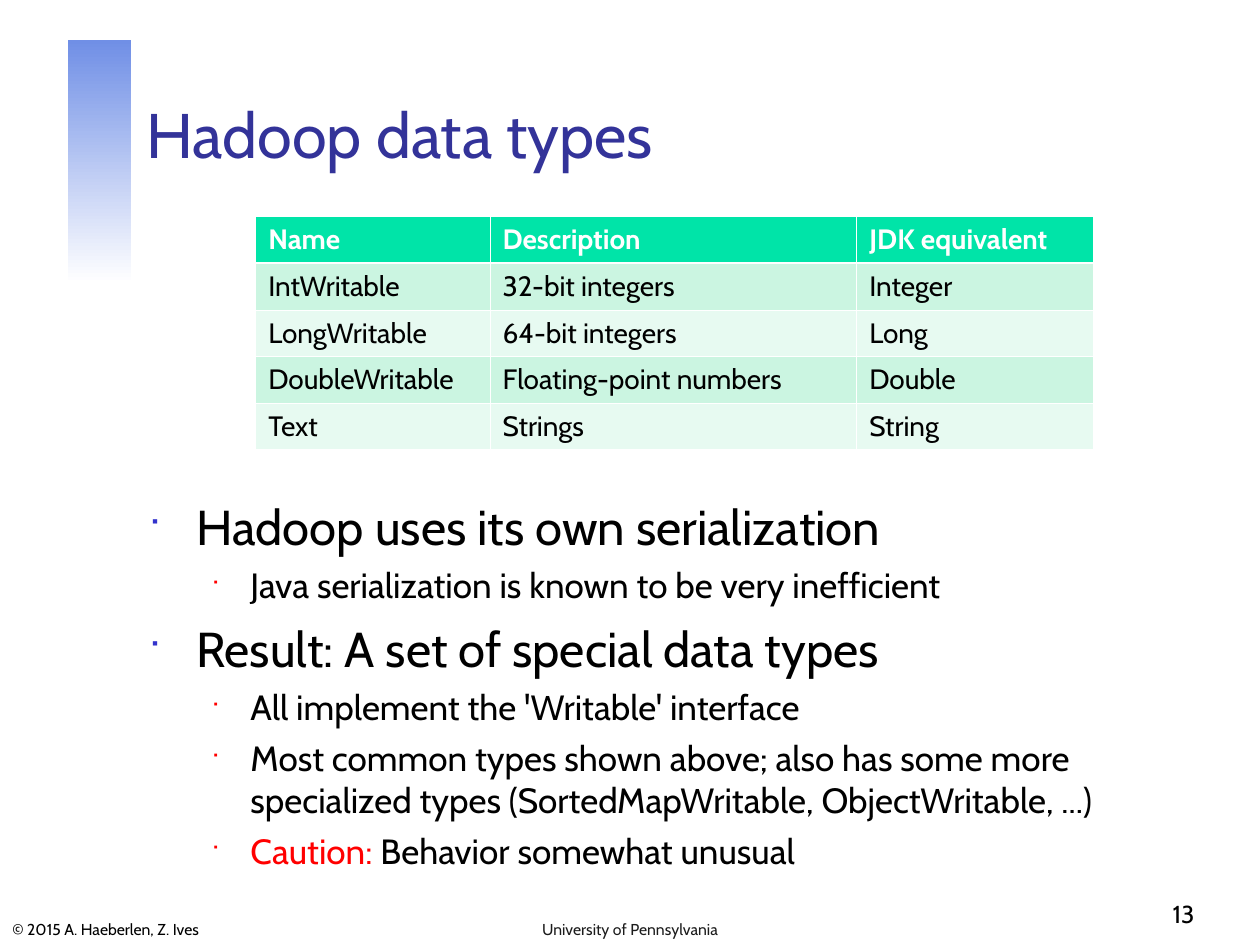
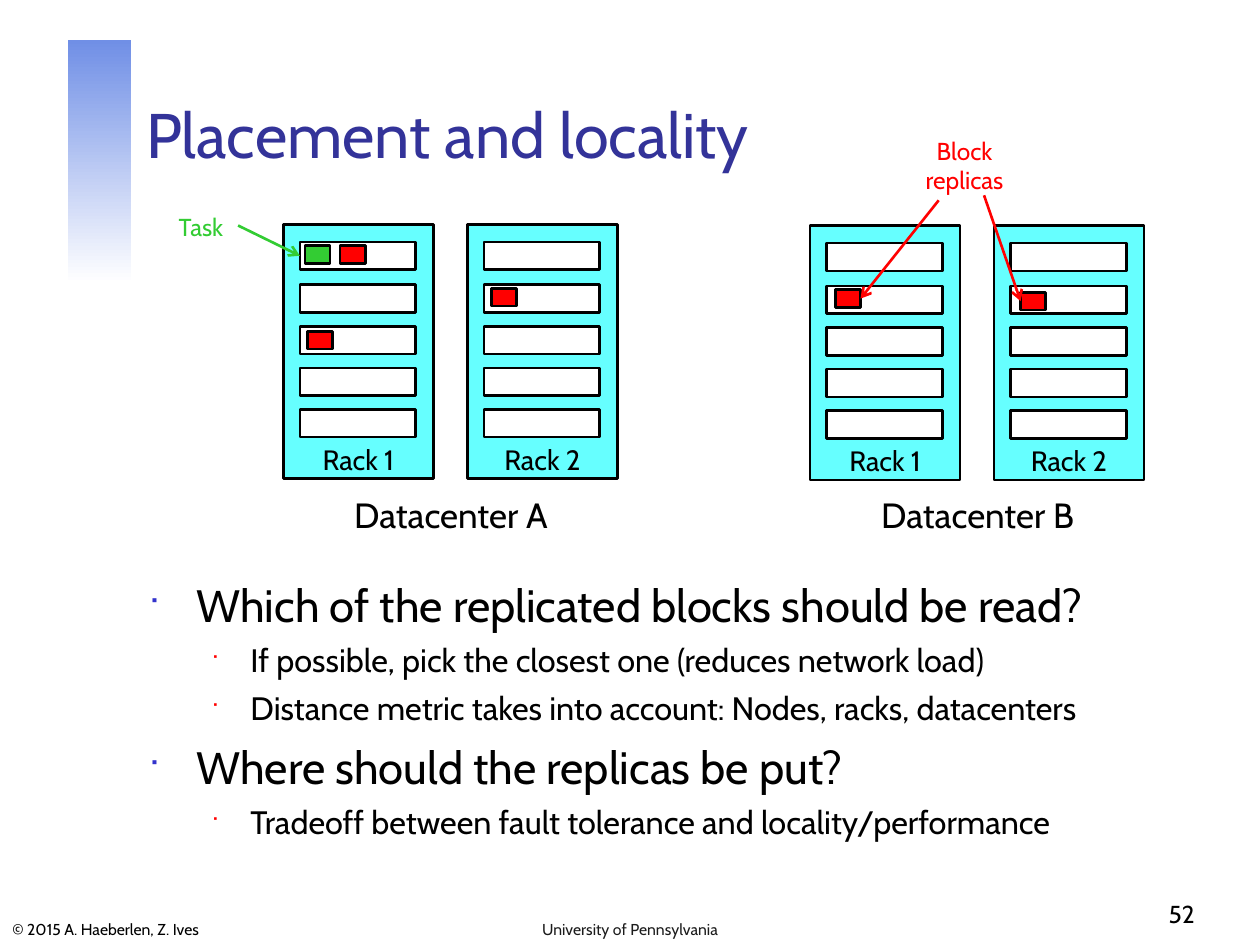
from dataclasses import dataclass

from lxml import etree
from pptx import Presentation
from pptx.dml.color import RGBColor
from pptx.enum.shapes import MSO_CONNECTOR, MSO_SHAPE
from pptx.enum.text import MSO_ANCHOR, PP_ALIGN
from pptx.oxml.ns import qn
from pptx.util import Inches, Pt


@dataclass(frozen=True)
class Theme:
    font: str = "Cabin"
    # Colours
    title: str = "333399"
    text: str = "000000"
    footer: str = "1C1C1C"
    white: str = "FFFFFF"
    band: str = "708FE6"
    bullet: str = "3333CC"
    red: str = "FF0000"
    green: str = "33CC33"
    rack: str = "66FFFF"
    header_row: str = "00E4A8"
    odd_row: str = "CBF5E1"
    even_row: str = "E7FAF1"
    # Type sizes and line widths in points
    title_size: float = 36
    datacenter_size: float = 20
    table_size: float = 16
    note_size: float = 14
    footer_size: float = 9
    line: float = 1.5
    thin_border: float = 0.45
    header_border: float = 1.47


THEME = Theme()

TYPE_ROWS = [
    ("Name", "Description", "JDK equivalent"),
    ("IntWritable", "32-bit integers", "Integer"),
    ("LongWritable", "64-bit integers", "Long"),
    ("DoubleWritable", "Floating-point numbers", "Double"),
    ("Text", "Strings", "String"),
]
TYPE_COLUMNS = (1.86, 2.91, 1.88)
ROW_HEIGHT = 0.37

# Outline entries: level, then text or (text, colour) runs
TYPE_POINTS = [
    (0, "Hadoop uses its own serialization"),
    (1, "Java serialization is known to be very inefficient"),
    (0, "Result: A set of special data types"),
    (1, "All implement the 'Writable' interface"),
    (1, "Most common types shown above; also has some more specialized types "
        "(SortedMapWritable, ObjectWritable, ...)"),
    (1, [("Caution: ", THEME.red), ("Behavior somewhat unusual", THEME.text)]),
]
PLACEMENT_POINTS = [
    (0, "Which of the replicated blocks should be read?"),
    (1, "If possible, pick the closest one (reduces network load)"),
    (1, "Distance metric takes into account: Nodes, racks, datacenters"),
    (0, "Where should the replicas be put?"),
    (1, "Tradeoff between fault tolerance and locality/performance"),
]

# Per outline level: left margin, hanging indent, space before, bullet colour, bullet %
LEVELS = [
    (0.38, -0.38, 7, THEME.bullet, 60),
    (0.81, -0.31, 5, THEME.red, 55),
]

RACK_PITCH = 1.46
SLOT_LEFT = 0.13
SLOT_TOPS = (0.14, 0.48, 0.81, 1.14, 1.47)


def rgb(colour):
    return RGBColor.from_string(colour)


def set_font(font, size, colour=None, bold=None):
    font.name = THEME.font
    font.size = Pt(size)
    font.bold = bold
    if colour:
        font.color.rgb = rgb(colour)


def add_sub(parent, tag, **attributes):
    return etree.SubElement(parent, qn(tag), attributes)


def add_label(slide, text, box, size, colour=THEME.text, align=PP_ALIGN.CENTER,
              anchor=MSO_ANCHOR.TOP, wrap=False):
    frame = slide.shapes.add_textbox(*map(Inches, box)).text_frame
    frame.word_wrap = wrap
    frame.vertical_anchor = anchor
    paragraph = frame.paragraphs[0]
    paragraph.text = text
    paragraph.alignment = align
    set_font(paragraph.font, size, colour)


def add_box(slide, left, top, width, height, colour):
    box = slide.shapes.add_shape(MSO_SHAPE.RECTANGLE, *map(Inches, (left, top, width, height)))
    box.shadow.inherit = False
    box.fill.solid()
    box.fill.fore_color.rgb = rgb(colour)
    box.line.color.rgb = rgb(THEME.text)
    box.line.width = Pt(THEME.line)
    return box


def add_arrow(slide, start, target, side, colour):
    """Arrow from a point to the middle of a side of the target."""
    arrow = slide.shapes.add_connector(
        MSO_CONNECTOR.STRAIGHT, *map(Inches, start), target.left, target.top)
    arrow.end_connect(target, side)
    arrow.line.color.rgb = rgb(colour)
    arrow.line.width = Pt(THEME.line)
    add_sub(arrow.line._get_or_add_ln(), "a:tailEnd", type="arrow")
    add_sub(arrow._element.spPr, "a:effectLst")


def add_band(slide):
    band = slide.shapes.add_shape(
        MSO_SHAPE.RECTANGLE, *map(Inches, (0.54, 0.32, 0.5, 1.93)))
    band.shadow.inherit = False
    band.line.fill.background()
    band.fill.gradient()
    band.fill.gradient_angle = 270
    for stop, colour in zip(band.fill.gradient_stops, (THEME.band, THEME.white)):
        stop.color.rgb = rgb(colour)


def new_slide(deck, title, number):
    """Title slide frame: band, title, copyright, university and page number."""
    slide = deck.slides.add_slide(deck.slide_layouts[5])
    add_band(slide)
    heading = slide.shapes.title
    heading.left, heading.top, heading.width, heading.height = map(
        Inches, (1.06, 0.33, 8.52, 1.08))
    heading.text_frame.vertical_anchor = MSO_ANCHOR.BOTTOM
    paragraph = heading.text_frame.paragraphs[0]
    paragraph.text = title
    paragraph.alignment = PP_ALIGN.LEFT
    set_font(paragraph.font, THEME.title_size, THEME.title)

    for text, box, size, colour, align in (
        ("© 2015 A. Haeberlen, Z. Ives", (0, 7.22, 1.94, 0.28),
         THEME.footer_size, THEME.text, PP_ALIGN.LEFT),
        ("University of Pennsylvania", (3.42, 7.22, 3.16, 0.28),
         THEME.footer_size, THEME.footer, PP_ALIGN.CENTER),
        (str(number), (7.5, 6.92, 2.08, 0.5),
         THEME.note_size, THEME.text, PP_ALIGN.RIGHT),
    ):
        add_label(slide, text, box, size, colour, align, MSO_ANCHOR.BOTTOM, wrap=True)
    return slide


def add_bullet(paragraph, level):
    margin, indent, _, colour, percent = LEVELS[level]
    properties = paragraph._p.get_or_add_pPr()
    properties.set("marL", str(Inches(margin)))
    properties.set("indent", str(Inches(indent)))
    add_sub(add_sub(properties, "a:buClr"), "a:srgbClr", val=colour)
    add_sub(properties, "a:buSzPct", val=str(percent * 1000))
    add_sub(properties, "a:buFont", typeface="Wingdings")
    add_sub(properties, "a:buChar", char="■")


def add_outline(slide, points, box, sizes):
    frame = slide.shapes.add_textbox(*map(Inches, box)).text_frame
    frame.word_wrap = True
    for index, (level, content) in enumerate(points):
        paragraph = frame.add_paragraph() if index else frame.paragraphs[0]
        paragraph.level = level
        add_bullet(paragraph, level)
        if index:
            paragraph.space_before = Pt(LEVELS[level][2])
        if isinstance(content, str):
            paragraph.text = content
            set_font(paragraph.font, sizes[level], THEME.text)
        else:
            set_font(paragraph.font, sizes[level])
            for text, colour in content:
                run = paragraph.add_run()
                run.text = text
                run.font.color.rgb = rgb(colour)


def add_borders(cell, top, bottom):
    properties = cell._tc.get_or_add_tcPr()
    thin = THEME.thin_border
    for tag, width in (("a:lnL", thin), ("a:lnR", thin), ("a:lnT", top), ("a:lnB", bottom)):
        line = add_sub(properties, tag, w=str(Pt(width)))
        add_sub(add_sub(line, "a:solidFill"), "a:srgbClr", val=THEME.white)


def add_type_table(slide):
    table = slide.shapes.add_table(
        len(TYPE_ROWS), len(TYPE_COLUMNS), Inches(2.03), Inches(1.72),
        Inches(sum(TYPE_COLUMNS)), Inches(ROW_HEIGHT * len(TYPE_ROWS))).table
    for column, width in zip(table.columns, TYPE_COLUMNS):
        column.width = Inches(width)
    for r, row in enumerate(TYPE_ROWS):
        is_header = r == 0
        fill = THEME.header_row if is_header else (THEME.even_row, THEME.odd_row)[r % 2]
        for c, text in enumerate(row):
            cell = table.cell(r, c)
            add_borders(cell,
                        THEME.header_border if r == 1 else THEME.thin_border,
                        THEME.header_border if is_header else THEME.thin_border)
            cell.fill.solid()
            cell.fill.fore_color.rgb = rgb(fill)
            paragraph = cell.text_frame.paragraphs[0]
            paragraph.text = text
            set_font(paragraph.font, THEME.table_size,
                     THEME.white if is_header else THEME.text, is_header)


def add_rack(slide, name, left, top):
    """Draw a rack and return its five node slots."""
    add_box(slide, left, top, 1.19, 2.02, THEME.rack)
    slots = [add_box(slide, left + SLOT_LEFT, top + offset, 0.92, 0.22, THEME.white)
             for offset in SLOT_TOPS]
    add_label(slide, name, (left + 0.16, top + 1.68, 0.87, 0.37), THEME.table_size)
    return slots


def add_datacenter(slide, name, left, top):
    racks = [add_rack(slide, f"Rack {i + 1}", left + i * RACK_PITCH, top) for i in range(2)]
    add_label(slide, name, (left + 0.38, 3.87, 1.9, 0.44), THEME.datacenter_size)
    return racks


def add_block(slide, slot, dx, dy=0.03, colour=THEME.red):
    return add_box(slide, slot.left.inches + dx, slot.top.inches + dy, 0.2, 0.14, colour)


def build_data_types(deck):
    slide = new_slide(deck, "Hadoop data types", 13)
    add_outline(slide, TYPE_POINTS, (1.08, 3.89, 8.5, 3.05), (28, 20))
    add_type_table(slide)


def build_placement(deck):
    slide = new_slide(deck, "Placement and locality", 52)
    add_outline(slide, PLACEMENT_POINTS, (1.08, 4.53, 8.66, 2.24), (25.9, 18.5))
    a1, a2 = add_datacenter(slide, "Datacenter A", 2.25, 1.78)
    b1, b2 = add_datacenter(slide, "Datacenter B", 6.43, 1.79)

    # Task and block replicas on the nodes
    add_block(slide, a1[0], 0.04, colour=THEME.green)
    add_block(slide, a1[0], 0.32)
    add_block(slide, a1[2], 0.06, 0.04)
    add_block(slide, a2[1], 0.06)
    replica_b1 = add_block(slide, b1[1], 0.07)
    replica_b2 = add_block(slide, b2[1], 0.08, 0.05)

    # Callouts
    add_label(slide, "Block\nreplicas", (7.2, 1.03, 0.91, 0.57), THEME.note_size, THEME.red)
    add_arrow(slide, (7.45, 1.59), replica_b1, 3, THEME.red)
    add_arrow(slide, (7.81, 1.55), replica_b2, 1, THEME.red)
    add_label(slide, "Task", (1.29, 1.63, 0.61, 0.34), THEME.note_size, THEME.green)
    add_arrow(slide, (1.89, 1.79), a1[0], 1, THEME.green)


def main():
    deck = Presentation()
    deck.slide_width, deck.slide_height = Inches(10), Inches(7.5)
    build_data_types(deck)
    build_placement(deck)
    deck.save("out.pptx")


if __name__ == "__main__":
    main()
